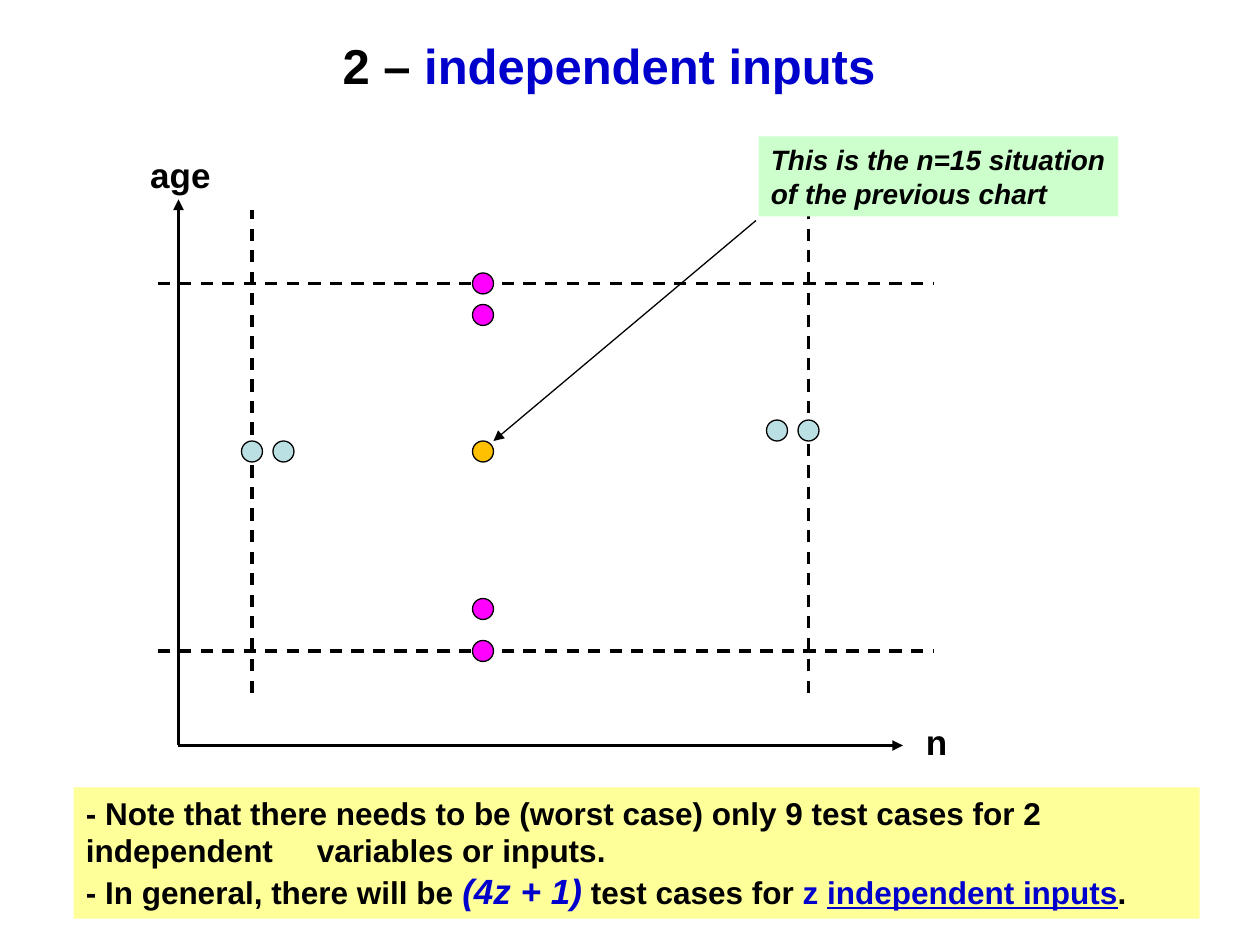
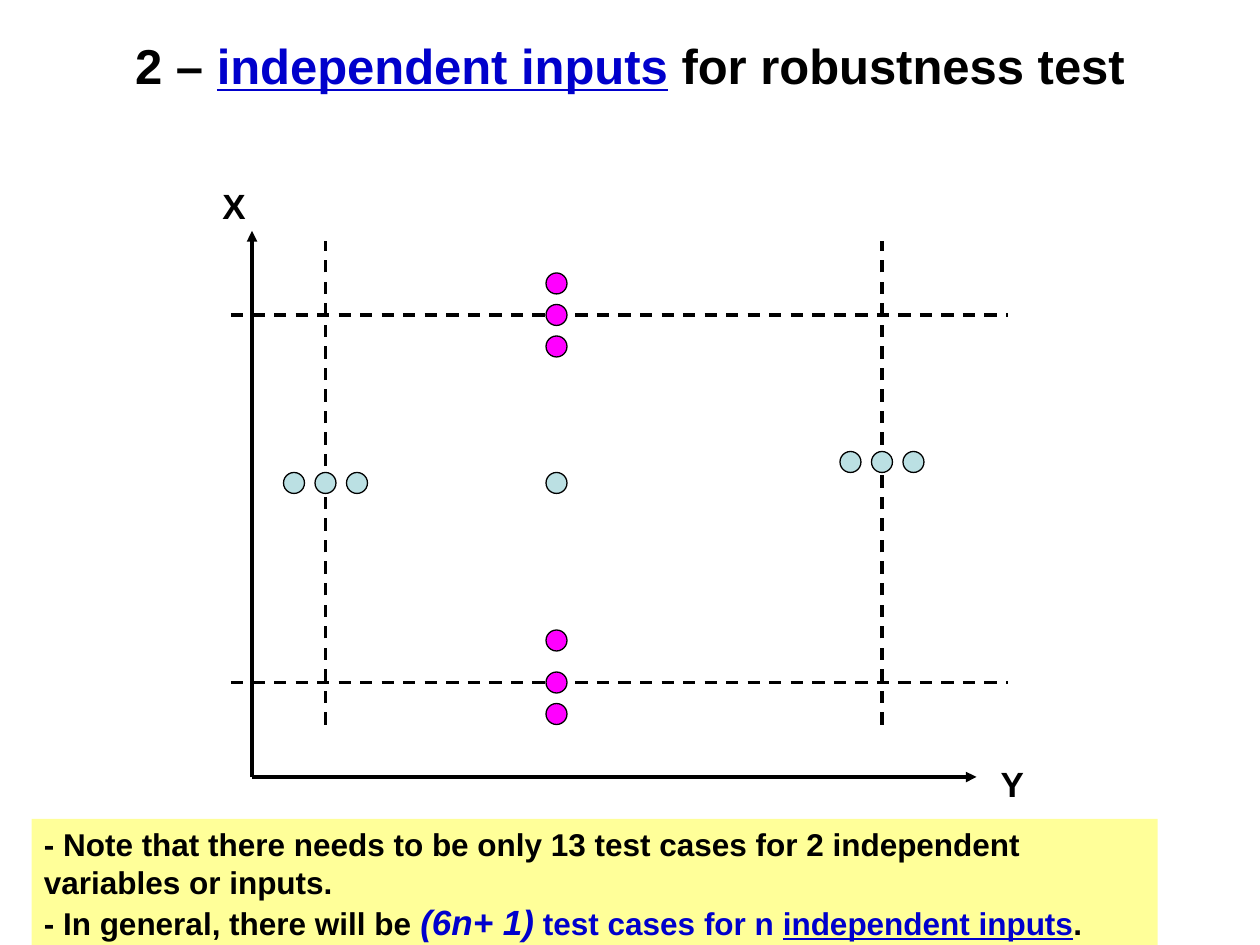
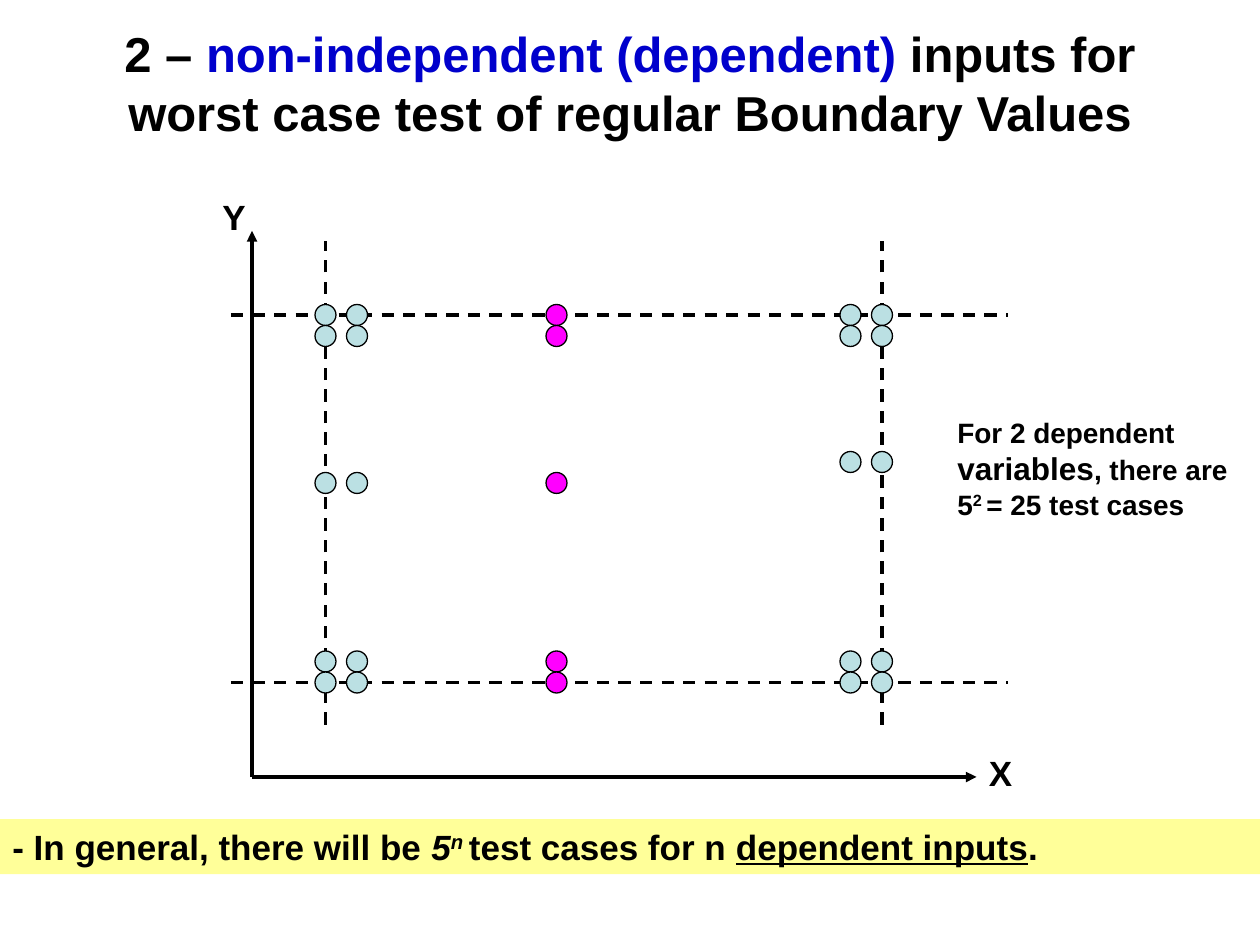
from dataclasses import dataclass
from itertools import product

from lxml import etree
from pptx import Presentation
from pptx import util as u
from pptx.dml.color import RGBColor
from pptx.enum import dml, shapes, text
from pptx.oxml.ns import qn

PX = 9525  # 96 px to the inch


@dataclass(frozen=True)
class Theme:
    font: str = "Arial"
    ink: str = "000000"
    accent: str = "0000CC"
    magenta: str = "FF00FF"
    aqua: str = "BBE0E3"
    amber: str = "FFC000"
    note: str = "FFFF99"
    callout: str = "CCFFCC"
    title: int = 28
    label: int = 20
    body: int = 18
    small: int = 16


theme = Theme()
BLUE = {"color": theme.accent}
UNDER = {"underline": True}
SUPER = {"baseline": "30000"}
FORMULA = {"color": theme.accent, "size": u.Pt(theme.label), "italic": True}


def add_text(slide, box, paragraphs, size, fill=None, wrap=False, title=False, tab=None):
    """Write paragraphs of (text, format) runs; a run given as plain text has no format."""
    panel = slide.shapes.add_textbox(*(v * PX for v in box))
    if fill:
        panel.fill.solid()
        panel.fill.fore_color.rgb = RGBColor.from_string(fill)
    frame = panel.text_frame
    frame.word_wrap = wrap
    if title:
        frame.vertical_anchor = text.MSO_ANCHOR.MIDDLE
    else:
        frame.auto_size = text.MSO_AUTO_SIZE.SHAPE_TO_FIT_TEXT
    for index, runs in enumerate(paragraphs):
        paragraph = frame.add_paragraph() if index else frame.paragraphs[0]
        if tab:
            stops = etree.SubElement(paragraph._p.get_or_add_pPr(), qn("a:tabLst"))
            etree.SubElement(stops, qn("a:tab"), pos=str(tab * PX), algn="l")
        if title:
            paragraph.alignment = text.PP_ALIGN.CENTER
        for part in runs:
            words, extra = (part, {}) if isinstance(part, str) else part
            run = paragraph.add_run()
            run.text = words
            style = {"name": theme.font, "size": u.Pt(size), "bold": True,
                     "color": theme.ink, **extra}
            run.font.color.rgb = RGBColor.from_string(style.pop("color"))
            if "baseline" in style:
                run._r.get_or_add_rPr().set("baseline", style.pop("baseline"))
            for key, value in style.items():
                setattr(run.font, key, value)


def add_line(slide, start, end, width, dashed=False, arrow=False):
    line = slide.shapes.add_connector(
        shapes.MSO_CONNECTOR.STRAIGHT, *(v * PX for v in (*start, *end)))
    line.line.color.rgb = RGBColor.from_string(theme.ink)
    line.line.width = u.Pt(width)
    if dashed:
        line.line.dash_style = dml.MSO_LINE.DASH
    if arrow:
        etree.SubElement(line.line._get_or_add_ln(), qn("a:tailEnd"), type="triangle")
    etree.SubElement(line._element.spPr, qn("a:effectLst"))


# Distances from the origin of the axes: right, and up
LEFT, MIDDLE, RIGHT = 56, 232, 480
LOW, LEFT_ROW, RIGHT_ROW, HIGH = 72, 224, 240, 352
STEP = 24
DOT = 16

inner_columns = [HIGH, HIGH - STEP, 104, LOW]
single_fault = [
    *((MIDDLE, y, theme.magenta) for y in inner_columns),
    *((x, LEFT_ROW, theme.aqua) for x in (LEFT, LEFT + STEP)),
    *((x, RIGHT_ROW, theme.aqua) for x in (RIGHT - STEP, RIGHT)),
]
robustness = [
    *single_fault,
    (MIDDLE, LEFT_ROW, theme.aqua),
    (MIDDLE, HIGH + STEP, theme.magenta),
    (MIDDLE, LOW - STEP, theme.magenta),
    (LEFT - STEP, LEFT_ROW, theme.aqua),
    (RIGHT + STEP, RIGHT_ROW, theme.aqua),
]
edge_rows = [HIGH, HIGH - DOT, LOW + DOT, LOW]
edge_columns = [LEFT, LEFT + STEP, RIGHT - STEP, RIGHT]
worst_case = [
    *((MIDDLE, y, theme.magenta) for y in [*edge_rows, LEFT_ROW]),
    *((x, LEFT_ROW, theme.aqua) for x in edge_columns[:2]),
    *((x, RIGHT_ROW, theme.aqua) for x in edge_columns[2:]),
    *((x, y, theme.aqua) for y, x in product(edge_rows, edge_columns)),
]

charts = [
    {
        "title": ["2 – ", ("independent inputs", BLUE)],
        "title_box": (32, 16, 864, 67),
        "origin": (136, 568),
        "axes": [("age", (105, 112, 65, 42)), ("n", (696, 544, 36, 42))],
        "dots": [*single_fault, (MIDDLE, LEFT_ROW, theme.amber)],
        "note_box": (56, 600, 858, 100),
        "note_size": theme.body,
        "note": [
            ["- Note that there needs to be (worst case) only 9 test cases for 2 "
             "independent\tvariables or inputs."],
            ["- In general, there will be ", ("(4z + 1)", FORMULA), " test cases for ",
             ("z ", BLUE), ("independent inputs", BLUE | UNDER), "."],
        ],
        "note_tab": 176,
    },
    {
        "title": ["2 – ", ("independent inputs", BLUE | UNDER), " for robustness test"],
        "title_box": (48, 16, 864, 67),
        "origin": (192, 592),
        "axes": [("X", (160, 136, 36, 42)), ("Y", (753, 576, 36, 42))],
        "dots": robustness,
        "note_box": (24, 624, 858, 100),
        "note_size": theme.body,
        "note": [
            ["- Note that there needs to be only 13 test cases for 2 independent "
             "variables or inputs."],
            ["- In general, there will be ", ("(6n+ 1)", FORMULA),
             (" test cases for n ", BLUE), ("independent inputs", BLUE | UNDER), "."],
        ],
    },
    {
        "title": ["2 – ", ("non-independent (dependent)", BLUE),
                  " inputs for worst case test of regular Boundary Values"],
        "title_box": (48, 29, 864, 67),
        "origin": (192, 592),
        "axes": [("Y", (160, 144, 36, 42)), ("X", (744, 568, 36, 42))],
        "dots": worst_case,
        "note_box": (0, 624, 960, 42),
        "note_size": theme.label,
        "note": [
            ["- In general, there will be ", ("5", {"italic": True}),
             ("n ", {"italic": True} | SUPER), "test cases for n ",
             ("dependent inputs", UNDER), "."],
        ],
    },
]

deck = Presentation()
deck.slide_width, deck.slide_height = 960 * PX, 720 * PX

for chart in charts:
    slide = deck.slides.add_slide(deck.slide_layouts[6])
    add_text(slide, chart["title_box"], [chart["title"]], theme.title, wrap=True, title=True)

    x0, y0 = chart["origin"]
    for tip in ((x0, y0 - 416), (x0 + 552, y0)):
        add_line(slide, (x0, y0), tip, 2, arrow=True)
    for y in (HIGH, LOW):
        add_line(slide, (x0 - 16, y0 - y), (x0 + 576, y0 - y), 1.75, dashed=True)
    for x in (LEFT, RIGHT):
        add_line(slide, (x0 + x, y0 - 40), (x0 + x, y0 - 408), 1.75, dashed=True)

    for x, y, color in chart["dots"]:
        corner = (x0 + x - DOT // 2, y0 - y - DOT // 2)
        dot = slide.shapes.add_shape(
            shapes.MSO_SHAPE.OVAL, *(v * PX for v in (*corner, DOT, DOT)))
        dot.shadow.inherit = False
        dot.fill.solid()
        dot.fill.fore_color.rgb = RGBColor.from_string(color)
        dot.line.color.rgb = RGBColor.from_string(theme.ink)
        dot.line.width = u.Pt(0.75)

    for name, box in chart["axes"]:
        add_text(slide, box, [[name]], theme.label)
    add_text(slide, chart["note_box"], chart["note"], chart["note_size"],
             fill=theme.note, wrap=True, tab=chart.get("note_tab"))

independent, _, dependent = deck.slides
add_line(independent, (576, 168), (376, 336), 0.75, arrow=True)
situation = ["This is the n=15 situation", "of the previous chart"]
add_text(independent, (578, 104, 274, 61),
         [[(line, {"italic": True})] for line in situation], theme.small, fill=theme.callout)
add_text(dependent, (720, 312, 225, 90), [
    ["For 2 dependent"],
    [("variables", {"size": u.Pt(theme.body)}), ", there are"],
    ["5", ("2 ", SUPER), "= 25 test cases"],
], theme.small)

deck.save("out.pptx")
